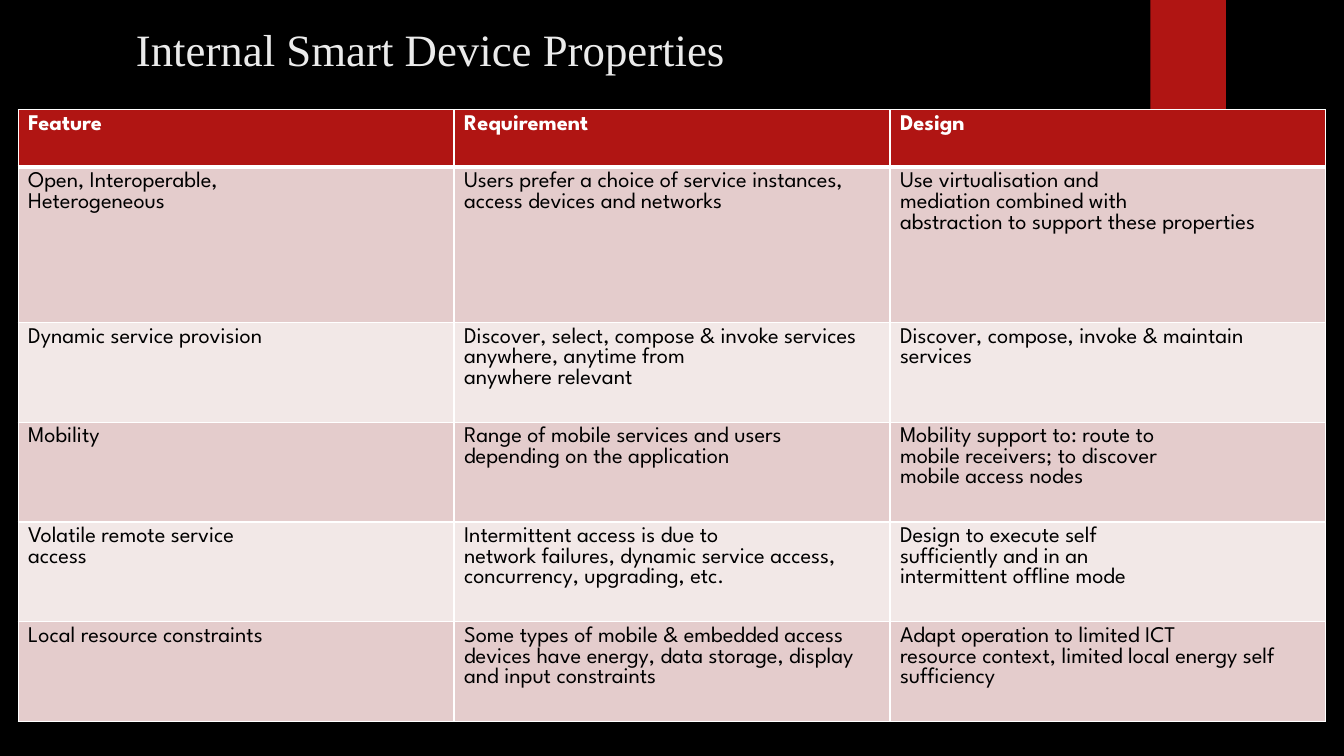
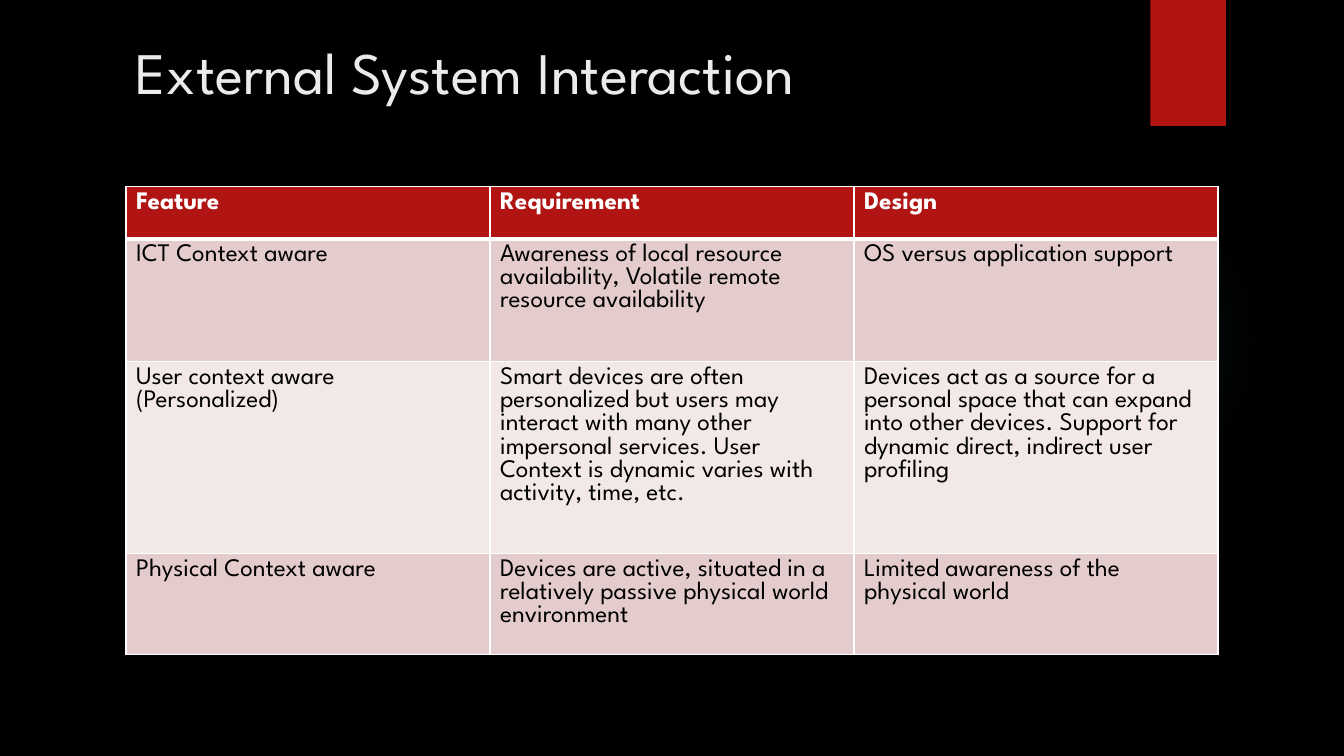
"""Build two slides of feature tables on smart devices."""
from lxml.etree import SubElement
from pptx import Presentation
from pptx.dml.color import RGBColor as RGB
from pptx.enum.shapes import MSO_SHAPE as Shape
from pptx.oxml import parse_xml
from pptx.oxml.ns import nsdecls, qn
from pptx.util import Inches, Pt

COLORS = {"back": "000000", "red": "B01513", "glow": "50B9C1", "title": "EBEBEB",
          "white": "FFFFFF", "text": "000000", "odd": "E4CCCC", "even": "F2E8E7"}
FONT = "League Spartan"
HEAD = ("Feature", "Requirement", "Design")
GLOW = ((0, 7), (36, 6), (69, 0))

SLIDES = [
    {"title": "Internal Smart Device Properties", "font": "Times New Roman",
     "size": 32, "top": 0.22, "high": 0.87,
     "at": (0.18, 1.09), "wide": 12.97, "text": 16,
     "tall": (0.57, 1.54, 0.99, 0.99, 0.99, 0.99),
     "rows": [
         ("Open, Interoperable,\nHeterogeneous",
          "Users prefer a choice of service instances, access devices and networks",
          "Use virtualisation and\nmediation combined with\n"
          "abstraction to support these properties"),
         ("Dynamic service provision",
          "Discover, select, compose & invoke services anywhere, anytime from\n"
          "anywhere relevant",
          "Discover, compose, invoke & maintain services"),
         ("Mobility",
          "Range of mobile services and users depending on the application",
          "Mobility support to: route to\nmobile receivers; to discover\n"
          "mobile access nodes"),
         ("Volatile remote service\naccess",
          "Intermittent access is due to\nnetwork failures, dynamic service access, "
          "concurrency, upgrading, etc.",
          "Design to execute self\nsufficiently and in an\nintermittent offline mode"),
         ("Local resource constraints",
          "Some types of mobile & embedded access devices have energy, data storage, "
          "display and input constraints",
          "Adapt operation to limited ICT\n"
          "resource context, limited local energy self sufficiency"),
     ]},
    {"title": "External System Interaction", "font": FONT,
     "size": 42, "top": 0.35, "high": 1.5,
     "at": (1.25, 1.85), "wide": 10.83, "text": 18,
     "tall": (0.52, 1.22, 1.48, 0.79),
     "rows": [
         ("ICT Context aware",
          "Awareness of local resource availability, Volatile remote resource availability",
          "OS versus application support"),
         ("User context aware\n(Personalized)",
          "Smart devices are often personalized but users may interact with many other "
          "impersonal services. User\n"
          "Context is dynamic varies with activity, time, etc.",
          "Devices act as a source for a personal space that can expand into other "
          "devices. Support for dynamic direct, indirect user profiling"),
         ("Physical Context aware",
          "Devices are active, situated in a relatively passive physical world environment",
          "Limited awareness of the\nphysical world"),
     ]},
]


def paint(fill, name):
    fill.solid()
    fill.fore_color.rgb = RGB.from_string(COLORS[name])


def style(frame, font, size, color, bold=False):
    for par in frame.paragraphs:
        for run in par.runs:
            run.font.name, run.font.size, run.font.bold = font, Pt(size), bold
            run.font.color.rgb = RGB.from_string(COLORS[color])


def add_part(slide, kind, *box):
    part = slide.shapes.add_shape(kind, *map(Inches, box))
    part.shadow.inherit = False
    part.line.fill.background()
    return part


def add_base(slide):
    paint(slide.background.fill, "back")
    glow = add_part(slide, Shape.OVAL, 9.41, 1.83, 3.08, 3.08)
    stops = "".join(
        f'<a:gs pos="{pos * 1000}"><a:srgbClr val="{COLORS["glow"]}">'
        f'<a:alpha val="{alpha * 1000}"/></a:srgbClr></a:gs>' for pos, alpha in GLOW)
    grad = parse_xml(
        f'<a:gradFill {nsdecls("a")}><a:gsLst>{stops}</a:gsLst><a:path path="circle">'
        '<a:fillToRect l="50000" t="50000" r="50000" b="50000"/></a:path></a:gradFill>')
    glow.element.spPr.find(qn("a:prstGeom")).addnext(grad)
    paint(add_part(slide, Shape.RECTANGLE, 11.41, 0, 0.75, 1.25).fill, "red")


def add_title(slide, data):
    box = slide.shapes.add_textbox(*map(Inches, (1.25, data["top"], 10.83, data["high"])))
    frame = box.text_frame
    frame.word_wrap = True
    frame.margin_top = 0
    frame.text = data["title"]
    style(frame, data["font"], data["size"], "title")


def add_edges(cell, row):
    props = cell._tc.get_or_add_tcPr()
    for side in "LRTB":
        thick = (row, side) in ((0, "B"), (1, "T"))
        line = SubElement(props, qn(f"a:ln{side}"), w=str(Pt(3 if thick else 1)))
        SubElement(SubElement(line, qn("a:solidFill")), qn("a:srgbClr"), val=COLORS["white"])


def add_grid(slide, data):
    rows = [HEAD] + data["rows"]
    box = (*data["at"], data["wide"], sum(data["tall"]))
    grid = slide.shapes.add_table(len(rows), len(HEAD), *map(Inches, box)).table
    grid.first_row = grid.horz_banding = False
    for col in grid.columns:
        col.width = Inches(data["wide"] / len(HEAD))
    for r, (texts, tall) in enumerate(zip(rows, data["tall"])):
        grid.rows[r].height = Inches(tall)
        for c, text in enumerate(texts):
            cell = grid.cell(r, c)
            cell.text_frame.text = text
            style(cell.text_frame, FONT, data["text"], "text" if r else "white", r == 0)
            add_edges(cell, r)
            paint(cell.fill, ("odd" if r % 2 else "even") if r else "red")


def main():
    prs = Presentation()
    prs.slide_width, prs.slide_height = Inches(13.33), Inches(7.5)
    for data in SLIDES:
        slide = prs.slides.add_slide(prs.slide_layouts[6])
        add_base(slide)
        add_title(slide, data)
        add_grid(slide, data)
    prs.save("out.pptx")


if __name__ == "__main__":
    main()
